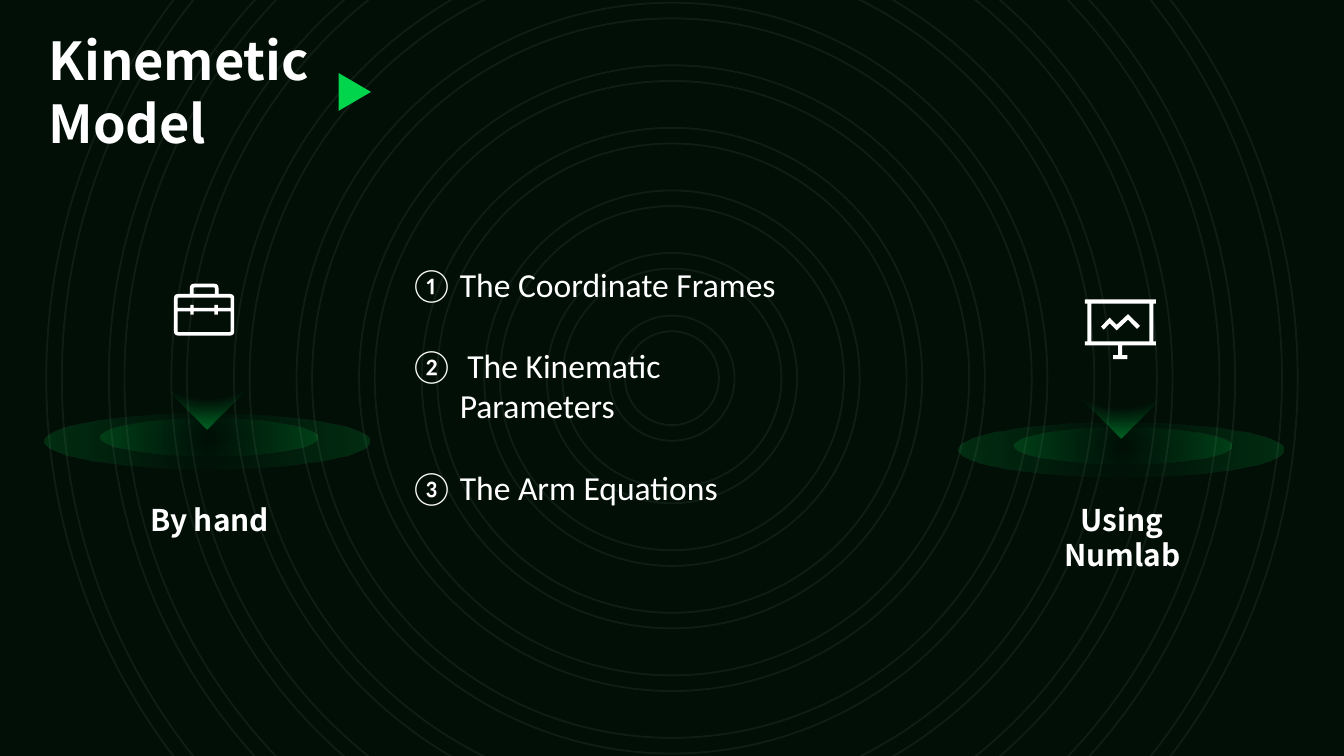
"""Build the Kinemetic Model slide."""
from lxml import etree
from pptx import Presentation
from pptx.dml.color import RGBColor
from pptx.enum.shapes import MSO_SHAPE
from pptx.enum.text import MSO_AUTO_SIZE, PP_ALIGN
from pptx.oxml import parse_xml
from pptx.oxml.ns import qn
from pptx.util import Pt

DONUT, OVAL = MSO_SHAPE.DONUT, MSO_SHAPE.OVAL
TEARDROP, TRIANGLE = MSO_SHAPE.TEAR, MSO_SHAPE.ISOSCELES_TRIANGLE
CENTER, LEFT = PP_ALIGN.CENTER, PP_ALIGN.LEFT
GROW = MSO_AUTO_SIZE.SHAPE_TO_FIT_TEXT
DRAWING_NS = "http://schemas.openxmlformats.org/drawingml/2006/main"

COLORS = {"background": "020F07", "accent": "00D54B", "white": "FFFFFF"}
HEADING_FONT, BODY_FONT = "Noto Sans CJK SC", "Calibri"

TITLE = ["Kinemetic", "Model"]
STEPS = ["The Coordinate Frames", " The Kinematic Parameters", "The Arm Equations"]
LABELS = [("By hand", (72.4, 265, 79.9, 26.6)), ("Using Numlab", (540, 265, 122.4, 26.6))]

RING_COUNT, RING_STEP, RING_CENTER = 10, 67.04, (360, 202.6)
PEDESTAL_OFFSETS = [(0, 0), (489.8, 4.5)]
DISC_STOPS = [(0, 0), (100, 16)]
BEAM_STOPS = [(51, 0), (100, 100)]
PEDESTAL = [
    (OVAL, (23.6, 221.8, 174.4, 29), 0, DISC_STOPS),
    (OVAL, (53.7, 224.5, 116.4, 19.4), 0, DISC_STOPS),
    (TEARDROP, (68.7, 128.5, 84.2, 84.2), 135, BEAM_STOPS),
]

TOOLBOX = [
    [(93.2, 157.5, 2.5), (101.7, 157.5, 0), (101.7, 152, 2.5), (117.1, 152, 2.5),
     (117.1, 157.5, 0), (125.5, 157.5, 2.5), (125.5, 179.8, 2.5), (93.2, 179.8, 2.5)],
    [(103.7, 154, 0.6), (115.1, 154, 0.6), (115.1, 157.5, 0), (103.7, 157.5, 0)],
    [(95.1, 159.5, 0.6), (123.6, 159.5, 0.6), (123.6, 165, 0), (116.7, 165, 0),
     (116.7, 163.4, 0), (114.9, 163.4, 0), (114.9, 165, 0), (103.8, 165, 0),
     (103.8, 163.4, 0), (102, 163.4, 0), (102, 165, 0), (95.1, 165, 0)],
    [(95.1, 166.9, 0), (102, 166.9, 0), (102, 168.5, 0), (103.8, 168.5, 0),
     (103.8, 166.9, 0), (114.9, 166.9, 0), (114.9, 168.5, 0), (116.7, 168.5, 0),
     (116.7, 166.9, 0), (123.6, 166.9, 0), (123.6, 177.9, 0.6), (95.1, 177.9, 0.6)],
]
TREND = [[(604.3, 168.3, 0), (598.2, 174, 0), (594.5, 170.2, 0), (589.8, 175, 0),
          (591.3, 176.6, 0), (594.5, 173.3, 0), (598.2, 177, 0), (604.3, 171.3, 0),
          (609.1, 176.2, 0), (610.7, 174.6, 0)]]
BOARD = [
    [(581.2, 160.4, 0), (619.3, 160.4, 0), (619.3, 162.6, 0), (617.9, 162.6, 0),
     (617.9, 182.9, 0), (619.3, 182.9, 0), (619.3, 185, 0), (601.2, 185, 0),
     (601.2, 190.2, 0), (604, 190.2, 0), (604, 192.4, 0), (596.4, 192.4, 0),
     (596.4, 190.2, 0), (599, 190.2, 0), (599, 185, 0), (581.2, 185, 0),
     (581.2, 182.9, 0), (582.6, 182.9, 0), (582.6, 162.6, 0), (581.2, 162.6, 0)],
    [(584.7, 162.6, 0), (615.8, 162.6, 0), (615.8, 182.9, 0), (584.7, 182.9, 0)],
]


def rgb(name):
    return RGBColor.from_string(COLORS[name])


def add_preset(shapes, kind, place, rotation=0):
    shape = shapes.add_shape(kind, *map(Pt, place))
    shape.shadow.inherit = False
    shape.rotation = rotation
    shape.fill.background()
    shape.line.fill.background()
    return shape


def add_glow(shape, stops):
    entries = "".join(
        f'<a:gs pos="{position * 1000}"><a:srgbClr val="{COLORS["accent"]}">'
        f'<a:alpha val="{opacity * 1000}"/></a:srgbClr></a:gs>'
        for position, opacity in stops)
    gradient = parse_xml(
        f'<a:gradFill xmlns:a="{DRAWING_NS}" rotWithShape="1"><a:gsLst>{entries}</a:gsLst>'
        '<a:path path="circle"><a:fillToRect l="50000" t="50000" r="50000" b="50000"/>'
        '</a:path></a:gradFill>')
    properties = shape._element.spPr
    properties.replace(properties.find(qn("a:noFill")), gradient)


def toward(start, end, distance):
    length = abs(end[0] - start[0]) + abs(end[1] - start[1])
    return [a + (b - a) * distance / length for a, b in zip(start[:2], end[:2])]


def round_corners(corners, steps=6):
    points = []
    for index, corner in enumerate(corners):
        radius = corner[2]
        if not radius:
            points.append(corner[:2])
            continue
        first = toward(corner, corners[index - 1], radius)
        last = toward(corner, corners[(index + 1) % len(corners)], radius)
        for step in range(steps + 1):
            t = step / steps
            points.append([(1 - t) ** 2 * a + 2 * t * (1 - t) * b + t * t * c
                           for a, b, c in zip(first, corner, last)])
    return points


def add_icon(shapes, contours):
    outlines = [[(x * 100, y * 100) for x, y in round_corners(contour)]
                for contour in contours]
    builder = shapes.build_freeform(*outlines[0][0], scale=Pt(1) / 100)
    for index, outline in enumerate(outlines):
        if index:
            builder.move_to(*outline[0])
        builder.add_line_segments(outline[1:], close=True)
    icon = builder.convert_to_shape()
    icon.shadow.inherit = False
    icon.fill.solid()
    icon.fill.fore_color.rgb = rgb("white")
    icon.line.fill.background()


def add_text(page, place, lines, size, font, bold=False, align=LEFT, wrap=True):
    box = page.shapes.add_textbox(*map(Pt, place))
    frame = box.text_frame
    frame.text = "\n".join(lines)
    frame.word_wrap = wrap
    frame.auto_size = GROW
    for para in frame.paragraphs:
        para.alignment = align
        for span in para.runs:
            span.font.size, span.font.name, span.font.bold = Pt(size), font, bold
            span.font.color.rgb = rgb("white")
    return frame


def add_rings(page):
    group = page.shapes.add_group_shape()
    for number in range(RING_COUNT, 0, -1):
        size = RING_STEP * number
        left, top = (middle - size / 2 for middle in RING_CENTER)
        ring = add_preset(group.shapes, DONUT, (left, top, size, size))
        ring.adjustments[0] = 0.125 / number
        ring.line.width = Pt(1)
        ring.line.color.rgb = rgb("white")
        color = ring.line._ln.find(".//" + qn("a:srgbClr"))
        etree.SubElement(color, qn("a:alpha")).set("val", "5000")


def add_pedestal(page, dx, dy):
    group = page.shapes.add_group_shape()
    for kind, (left, top, width, height), rotation, stops in PEDESTAL:
        place = (left + dx, top + dy, width, height)
        add_glow(add_preset(group.shapes, kind, place, rotation), stops)


def add_steps(page):
    frame = add_text(page, (212.2, 137.7, 234, 115.9), STEPS, 18, BODY_FONT)
    frame.margin_right = Pt(18)
    for index, para in enumerate(frame.paragraphs):
        if index:
            para.space_before = Pt(21.9)
        properties = para._p.get_or_add_pPr()
        properties.set("marL", str(Pt(27)))
        properties.set("indent", str(-Pt(27)))
        etree.SubElement(properties, qn("a:buFont")).set("typeface", "+mj-lt")
        etree.SubElement(properties, qn("a:buAutoNum")).set("type", "circleNumDbPlain")


def main():
    deck = Presentation()
    deck.slide_width, deck.slide_height = Pt(720), Pt(405)
    page = deck.slides.add_slide(deck.slide_layouts[6])
    page.background.fill.solid()
    page.background.fill.fore_color.rgb = rgb("background")

    add_rings(page)
    add_text(page, (18.9, 11.5, 166.3, 74.9), TITLE, 28, HEADING_FONT, bold=True)
    marker = add_preset(page.shapes, TRIANGLE, (180, 40.6, 20.2, 17.3), 90)
    marker.fill.solid()
    marker.fill.fore_color.rgb = rgb("accent")
    for offset in PEDESTAL_OFFSETS:
        add_pedestal(page, *offset)
    add_icon(page.shapes, TOOLBOX)
    chart_icon = page.shapes.add_group_shape()
    for contours in (TREND, BOARD):
        add_icon(chart_icon.shapes, contours)
    add_steps(page)
    for label, place in LABELS:
        add_text(page, place, [label], 16, HEADING_FONT, True, CENTER, wrap=False)
    deck.save("out.pptx")


if __name__ == "__main__":
    main()
